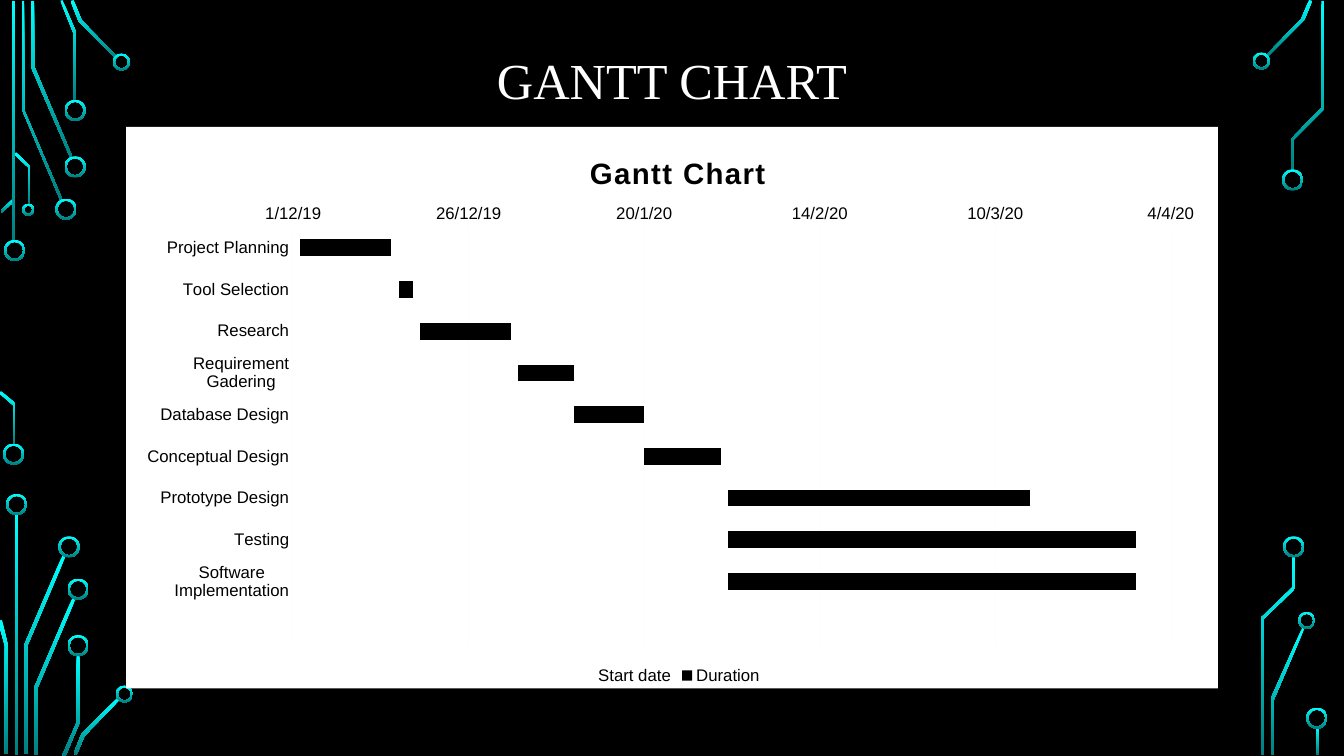
from lxml import etree
from pptx import Presentation
from pptx import util as u
from pptx.chart import data as chart_data
from pptx.dml.color import RGBColor
from pptx.enum import chart as charts, shapes, text
from pptx.oxml import parse_xml
from pptx.oxml.ns import nsdecls, qn

GRID = 0.0254  # the artwork is drawn in hundredths of an inch


def colour(value):
    return RGBColor.from_string(value)


def finish_circuit(shape):
    """Vertical cyan gradient without outline or shadow."""
    shape.shadow.inherit = False
    shape.line.fill.background()
    shape.fill.gradient()
    shape.fill.gradient_angle = 270
    for stop, shade in zip(shape.fill.gradient_stops, ("00FFFF", "007F80")):
        stop.color.rgb = colour(shade)


deck = Presentation()
deck.slide_width, deck.slide_height = u.Cm(33.87), u.Cm(19.05)
page = deck.slides.add_slide(deck.slide_layouts[5])
page.background.fill.solid()
page.background.fill.fore_color.rgb = colour("000000")

# Circuit traces: outline points
traces = [
    # top left
    [(60, 199), (22, 109), (22, 1), (24, 1), (24, 109), (62, 198)],
    [(70, 157), (31, 67), (31, 1), (34, 1), (34, 66), (72, 156)],
    [(76, 100), (73, 100), (73, 33), (60, 1), (62, 0), (76, 33)],
    [(115, 58), (78, 21), (70, 1), (73, 0), (81, 20), (116, 56)],
    [(2, 211), (1, 209), (13, 197), (15, 199)],
    [(15, 441), (13, 441), (13, 402), (-1, 390), (1, 388), (15, 400)],
    [(30, 203), (28, 203), (28, 166), (14, 153), (16, 151), (30, 165)],
    # bottom left
    [(27, 748), (24, 748), (24, 640), (62, 551), (65, 552), (27, 641)],
    [(8, 748), (5, 748), (5, 641), (-2, 616), (2, 615), (8, 641)],
    [(37, 749), (34, 749), (34, 682), (72, 593), (75, 594), (37, 683)],
    [(65, 750), (62, 749), (76, 717), (76, 650), (79, 650), (79, 717)],
    [(76, 749), (73, 748), (81, 728), (117, 692), (119, 694), (84, 730)],
    # top right
    [(1258, 56), (1256, 55), (1291, 19), (1299, 0), (1302, 1), (1294, 20)],
    [(1283, 169), (1281, 169), (1281, 138), (1311, 107), (1311, 1),
     (1314, 1), (1314, 108), (1283, 139)],
    # bottom right
    [(1264, 749), (1261, 749), (1261, 693), (1292, 623), (1294, 624), (1264, 694)],
    [(1254, 749), (1251, 749), (1251, 613), (1282, 583), (1282, 552),
     (1285, 552), (1285, 584), (1254, 614)],
]
for start, *others in traces:
    builder = page.shapes.build_freeform(*start, scale=u.Cm(GRID))
    builder.add_line_segments(others, close=True)
    finish_circuit(builder.convert_to_shape())

# Straight traces: left, top, height
for left, top, height in [(12, 1, 239), (15, 510, 239), (1306, 721, 28)]:
    bar = page.shapes.add_shape(
        shapes.MSO_SHAPE.RECTANGLE,
        *(u.Cm(GRID * n) for n in (left, top, 3, height)))
    finish_circuit(bar)

# Solder rings: left and top, grouped by diameter
rings = {
    21: [(4, 238), (3, 440), (55, 197), (64, 155), (64, 99), (6, 490),
         (58, 532), (67, 574), (67, 630), (1272, 168), (1273, 532), (1296, 702)],
    17: [(1112 - 1000, 53), (115, 680), (1243, 52), (1288, 607)],
    12: [(22, 202)],
}
for size, corners in rings.items():
    for left, top in corners:
        ring = page.shapes.add_shape(
            shapes.MSO_SHAPE.DONUT,
            *(u.Cm(GRID * n) for n in (left, top, size, size)))
        ring.adjustments[0] = 2 / size
        finish_circuit(ring)

# Title
title = page.shapes.title
title.left, title.top, title.width, title.height = (
    u.Cm(n) for n in (3.18, 0.99, 27.51, 2.21))
title.text_frame.vertical_anchor = text.MSO_ANCHOR.MIDDLE
para = title.text_frame.paragraphs[0]
para.text = "GANTT CHART"
para.alignment = text.PP_ALIGN.CENTER
para.line_spacing = 0.9
for name, value in {"name": "Times New Roman", "size": u.Pt(36)}.items():
    setattr(para.font, name, value)
para.font.color.rgb = colour("FFFFFF")

# Tasks: name, start as a date serial, days; the last row is empty
tasks = [
    ("Project Planning", 43801, 13),
    ("Tool Selection", 43815, 2),
    ("Research", 43818, 13),
    ("Requirement Gadering", 43832, 8),
    ("Database Design", 43840, 10),
    ("Conceptual Design", 43850, 11),
    ("Prototype Design", 43862, 43),
    ("Testing", 43862, 58),
    ("Software Implementation", 43862, 58),
    ("", None, None),
]
names, starts, durations = zip(*tasks)
schedule = chart_data.CategoryChartData()
schedule.categories = names
schedule.add_series("Start date", starts)
schedule.add_series("Duration", durations)
gantt = page.shapes.add_chart(
    charts.XL_CHART_TYPE.BAR_STACKED,
    *(u.Cm(n) for n in (3.18, 3.2, 27.51, 14.15)), schedule).chart

# Bars
plot = gantt.plots[0]
plot.gap_width, plot.overlap, plot.vary_by_categories = 150, 100, False
start_bars, duration_bars = plot.series
start_bars.format.fill.background()
duration_bars.format.fill.solid()
duration_bars.format.fill.fore_color.rgb = colour("000000")

# Axes
dates, rows = gantt.value_axis, gantt.category_axis
for name, value in {"minimum_scale": 43800, "maximum_scale": 43925,
                    "major_unit": 25}.items():
    setattr(dates, name, value)
dates.tick_labels.number_format = "d/m/yy;@"
dates.tick_labels.number_format_is_linked = False
rows.reverse_order = True
for axis in (dates, rows):
    axis.major_tick_mark = axis.minor_tick_mark = charts.XL_TICK_MARK.NONE
    axis.format.line.fill.background()
grid_line = dates.major_gridlines.format.line
grid_line.width = u.Pt(0.75)
grid_line.color.rgb = colour("F2F2F2")
for shade in dates.major_gridlines._xAx.iter(qn("a:srgbClr")):
    etree.SubElement(shade, qn("a:alpha"), val="10000")

# Legend and chart title
gantt.has_legend = True
gantt.legend.position = charts.XL_LEGEND_POSITION.BOTTOM
gantt.legend.include_in_layout = False
heading = gantt.chart_title.text_frame.paragraphs[0]
span = heading.add_run()
span.text = "Gantt Chart"
span.font._element.set("spc", "100")
fonts = [(gantt.font, 10, False), (dates.tick_labels.font, 12, False),
         (rows.tick_labels.font, 12, False), (gantt.legend.font, 12, False),
         (span.font, 21, True)]
for font, size, bold in fonts:
    for name, value in {"name": "Arial", "size": u.Pt(size), "bold": bold}.items():
        setattr(font, name, value)
    font.color.rgb = colour("000000")

# Fixed places for the chart title and the plot area, as shares of the chart
places = [
    (gantt.chart_title._element, {"x": 0.42, "y": 0.04}),
    (gantt._chartSpace.chart.plotArea, {"x": 0.153, "y": 0.178, "w": 0.804, "h": 0.743}),
]
for owner, shares in places:
    for old in owner.findall(qn("c:layout")):
        owner.remove(old)
    layout = parse_xml(f"<c:layout {nsdecls('c')}><c:manualLayout/></c:layout>")
    if "w" in shares:
        etree.SubElement(layout[0], qn("c:layoutTarget"), val="inner")
    for key in ("x", "y"):
        etree.SubElement(layout[0], qn(f"c:{key}Mode"), val="edge")
    for key, share in shares.items():
        etree.SubElement(layout[0], qn(f"c:{key}"), val=str(share))
    words = owner.find(qn("c:tx"))
    owner.insert(0 if words is None else 1, layout)

# White chart background
gantt._chartSpace.chart.addnext(parse_xml(
    f"<c:spPr {nsdecls('c', 'a')}><a:solidFill><a:srgbClr val='FFFFFF'/></a:solidFill>"
    "<a:ln><a:noFill/></a:ln></c:spPr>"))

deck.save("out.pptx")
